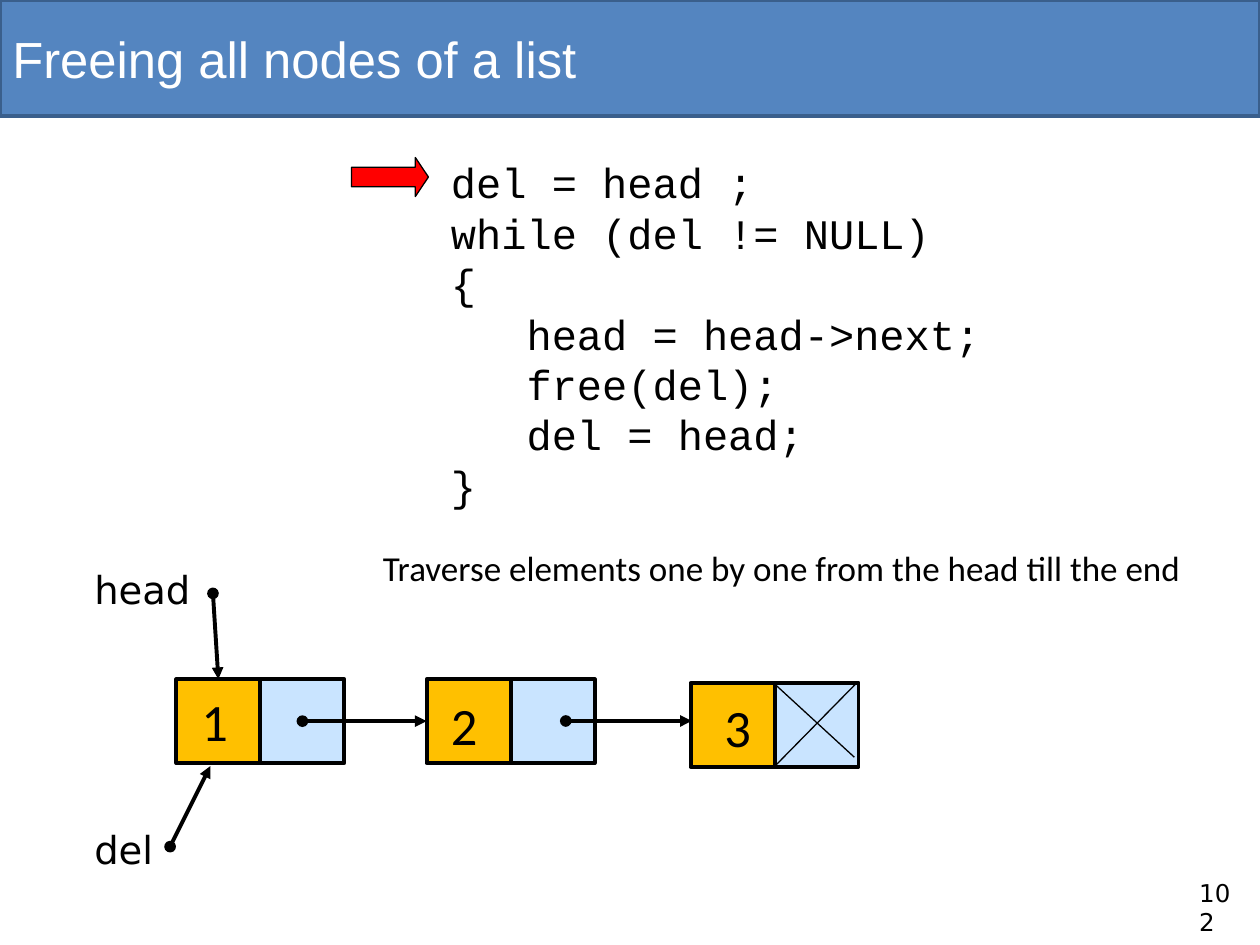
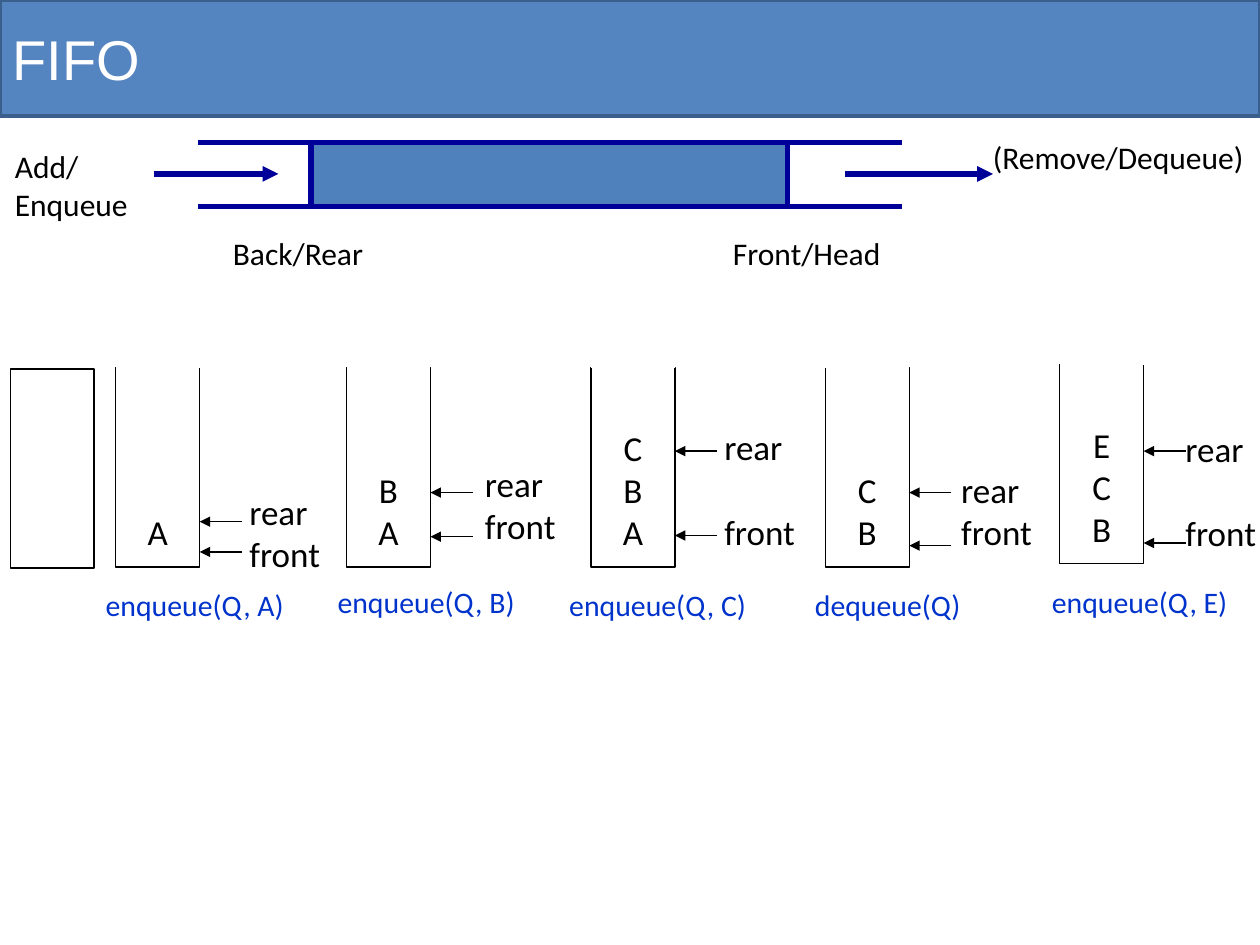
from dataclasses import dataclass
from typing import Optional

from lxml import etree
from pptx import Presentation
from pptx.dml.color import RGBColor
from pptx.enum import shapes, text
from pptx.oxml.ns import qn
from pptx.util import Pt

BLACK, WHITE = "000000", "FFFFFF"
BAND_FILL, BAND_LINE = "5485C0", "3A5F8C"
VALUE_FILL, LINK_FILL = "FFC000", "C9E4FF"
PIPE_FILL, PIPE_LINE = "4F81BD", "000099"
CAPTION_BLUE, RED = "0033CC", "FF0000"
SANS, CODE, LABEL = "Calibri", "Courier New", "DejaVu Sans"
SLIDE_WIDTH, SLIDE_HEIGHT = 720, 540
CELL = 48
QUEUE_HEIGHT = 113.8
ROW_HEIGHT = 24.4


@dataclass
class Box:
    left: float
    top: float
    width: float
    height: float


@dataclass
class Style:
    size: float
    font: str = SANS
    color: str = BLACK


@dataclass
class Node:
    value: str
    left: float
    top: float
    value_left: float
    value_top: float


@dataclass
class Queue:
    left: float
    top: float
    items: str
    pointer_left: float
    pointer_top: float
    pointer_gap: float
    rear_y: float
    front_y: float
    operation: str
    caption_left: float
    caption_top: float


def rgb(value: str) -> RGBColor:
    return RGBColor.from_string(value)


def apply(target, values: dict) -> None:
    for name, value in values.items():
        setattr(target, name, value)


def write(shape, lines: list[str], style: Style, frame_format: Optional[dict] = None,
          paragraph_format: Optional[dict] = None, gap: float = 0) -> None:
    """Fill a shape with one paragraph per line; gap separates paragraphs."""
    frame = shape.text_frame
    apply(frame, {"word_wrap": True, **(frame_format or {})})
    for index, line in enumerate(lines):
        paragraph = frame.paragraphs[0] if index == 0 else frame.add_paragraph()
        apply(paragraph, {"alignment": text.PP_ALIGN.LEFT, **(paragraph_format or {})})
        if index and gap:
            paragraph.space_before = Pt(gap)
        run = paragraph.add_run()
        run.text = line
        apply(run.font, {"size": Pt(style.size), "name": style.font})
        run.font.color.rgb = rgb(style.color)


def add_label(slide, box: Box, lines: list[str], style: Style, **formats) -> None:
    shape = slide.shapes.add_textbox(
        Pt(box.left), Pt(box.top), Pt(box.width), Pt(box.height))
    write(shape, lines, style, **formats)


def add_box(slide, box: Box, fill: str, line: str, weight: float,
            kind=shapes.MSO_SHAPE.RECTANGLE):
    shape = slide.shapes.add_shape(
        kind, Pt(box.left), Pt(box.top), Pt(box.width), Pt(box.height))
    shape.shadow.inherit = False
    shape.fill.solid()
    shape.fill.fore_color.rgb = rgb(fill)
    shape.line.color.rgb = rgb(line)
    shape.line.width = Pt(weight)
    return shape


def add_line(slide, start: tuple[float, float], end: tuple[float, float],
             color: str = BLACK, weight: float = 0.75,
             head: str = "", tail: str = ""):
    line = slide.shapes.add_connector(
        shapes.MSO_CONNECTOR.STRAIGHT, *(Pt(value) for value in (*start, *end)))
    line.line.color.rgb = rgb(color)
    line.line.width = Pt(weight)
    properties = line._element.spPr
    outline = properties.find(qn("a:ln"))
    for tag, kind in (("a:headEnd", head), ("a:tailEnd", tail)):
        if kind:
            etree.SubElement(outline, qn(tag), type=kind)
    etree.SubElement(properties, qn("a:effectLst"))
    return line


def add_titled_slide(presentation, title: str, size: float):
    slide = presentation.slides.add_slide(presentation.slide_layouts[6])
    band = add_box(slide, Box(0, 0, SLIDE_WIDTH, 66.2), BAND_FILL, BAND_LINE, 2)
    write(band, [title], Style(size, "Arial", WHITE),
          {"vertical_anchor": text.MSO_ANCHOR.MIDDLE})
    return slide


def add_node(slide, node: Node):
    """Draw a list node and return its value cell."""
    add_box(slide, Box(node.left + CELL, node.top, CELL, CELL), LINK_FILL, BLACK, 2.25)
    cell = add_box(slide, Box(node.left, node.top, CELL, CELL), VALUE_FILL, BLACK, 2.25)
    add_label(slide, Box(node.value_left, node.value_top, 72, 44), [node.value], Style(30))
    return cell


def add_queue(slide, queue: Queue) -> None:
    """Draw an open-topped queue with its pointers and caption."""
    column = add_box(slide, Box(queue.left, queue.top, CELL, QUEUE_HEIGHT),
                     WHITE, BLACK, 0.75)
    write(column, list(queue.items), Style(20),
          {"vertical_anchor": text.MSO_ANCHOR.BOTTOM, "margin_bottom": Pt(8.1)},
          {"alignment": text.PP_ALIGN.CENTER})
    right = queue.left + CELL
    add_line(slide, (queue.left, queue.top), (right, queue.top), WHITE)
    for y in (queue.rear_y, queue.front_y):
        add_line(slide, (right + CELL / 2, y), (right, y), tail="triangle")
    add_label(slide, Box(queue.pointer_left, queue.pointer_top, 49.5,
                         2 * ROW_HEIGHT + queue.pointer_gap + 7.2),
              ["rear", "front"], Style(20),
              frame_format={"margin_right": 0}, gap=queue.pointer_gap)
    add_label(slide, Box(queue.caption_left, queue.caption_top, 117.4, 28),
              [queue.operation], Style(17, color=CAPTION_BLUE))


CODE_LINES = [
    "del = head ;",
    "while (del != NULL)",
    "{",
    "   head = head->next;",
    "   free(del);",
    "   del = head;",
    "}",
]

NODES = [
    Node("1", 100.8, 388.1, 108, 390.2),
    Node("2", 243.8, 388.1, 250.6, 392.4),
    Node("3", 394.6, 390.2, 406.8, 393.8),
]

QUEUES = [
    Queue(66.2, 210.2, "A", 135.4, 276.5, 0, 298.1, 315.4,
          "enqueue(Q, A)", 53.3, 331.9),
    Queue(198, 210.2, "BA", 270, 260.6, 0, 281.5, 306.7,
          "enqueue(Q, B)", 185.8, 329.8),
    Queue(337.7, 210.2, "CBA", 406.8, 239.8, ROW_HEIGHT, 257.8, 306,
          "enqueue(Q, C)", 318.2, 331.9),
    Queue(471.6, 210.2, "CB", 542.2, 264.2, 0, 281.5, 311.8,
          "dequeue(Q)", 458.6, 331.9),
    Queue(605.5, 208.1, "ECB", 670.3, 240.5, ROW_HEIGHT, 257.8, 310.3,
          "enqueue(Q, E)", 594, 329.8),
]


def build_list_slide(presentation) -> None:
    slide = add_titled_slide(presentation, "Freeing all nodes of a list", 29)
    add_label(slide, Box(678.2, 498.2, 36, 28.8), ["102"], Style(14, LABEL))

    # Code and the marker of the current line
    add_label(slide, Box(250.6, 84.2, 360, 211), CODE_LINES, Style(24, CODE),
              frame_format={"margin_top": Pt(5.5)},
              paragraph_format={"line_spacing": Pt(28.8)})
    marker = add_box(slide, Box(200.9, 90, 43.9, 22.3), RED, BLACK, 0.75,
                     shapes.MSO_SHAPE.RIGHT_ARROW)
    marker.adjustments[0], marker.adjustments[1] = 0.5, 0.333
    add_label(slide, Box(211.7, 308.9, 508, 31.7),
              ["Traverse elements one by one from the head till the end"], Style(20))

    # Linked list
    first, second, _ = [add_node(slide, node) for node in NODES]
    pointer = {"weight": 2.25, "head": "oval", "tail": "triangle"}
    head_link = add_line(slide, (121.7, 339.1), (124.8, 388.1), **pointer)
    head_link.end_connect(first, 0)
    next_link = add_line(slide, (172.8, 412.1), (243.8, 412.1), **pointer)
    next_link.end_connect(second, 1)
    add_line(slide, (323.3, 412), (395.3, 412), **pointer)
    add_line(slide, (97.2, 483.8), (120.2, 437.8), **pointer)

    # Cross in the last link cell
    add_line(slide, (490.3, 389.5), (442.8, 437.8))
    add_line(slide, (442.8, 391), (488.2, 432.7))

    for name, top in (("head", 319.7), ("del", 468.7)):
        add_label(slide, Box(46.8, top, 77.8, 33.8), [name], Style(22, LABEL))


def build_queue_slide(presentation) -> None:
    slide = add_titled_slide(presentation, "FIFO", 32)

    # Pipe with open ends
    pipe = Box(177.8, 81.4, 272.4, 36.7)
    add_box(slide, pipe, PIPE_FILL, PIPE_LINE, 3)
    right = pipe.left + pipe.width
    for y in (pipe.top, pipe.top + pipe.height):
        for outer, inner in ((pipe.left - 64.8, pipe.left), (right + 65.2, right)):
            add_line(slide, (inner, y), (outer, y), PIPE_LINE, 3)
    for start, end in ((87.8, 159.1), (483.1, 567.4)):
        add_line(slide, (start, 99.4), (end, 99.4), PIPE_LINE, 3, tail="triangle")

    # Pipe labels
    for box, lines in (
        (Box(1.4, 80.6, 115.9, 51.1), ["Add/", "Enqueue"]),
        (Box(560.2, 75.6, 159.8, 28.8), ["(Remove/Dequeue)"]),
        (Box(126, 130.3, 129.6, 28.8), ["Back/Rear"]),
        (Box(411.8, 130.3, 175, 28.8), ["Front/Head"]),
    ):
        add_label(slide, box, lines, Style(18))

    # Empty queue, then one state per operation
    add_box(slide, Box(5.8, 210.8, CELL, QUEUE_HEIGHT), WHITE, BLACK, 0.75)
    for queue in QUEUES:
        add_queue(slide, queue)


def main() -> None:
    presentation = Presentation()
    presentation.slide_width = Pt(SLIDE_WIDTH)
    presentation.slide_height = Pt(SLIDE_HEIGHT)
    build_list_slide(presentation)
    build_queue_slide(presentation)
    presentation.save("out.pptx")


if __name__ == "__main__":
    main()
